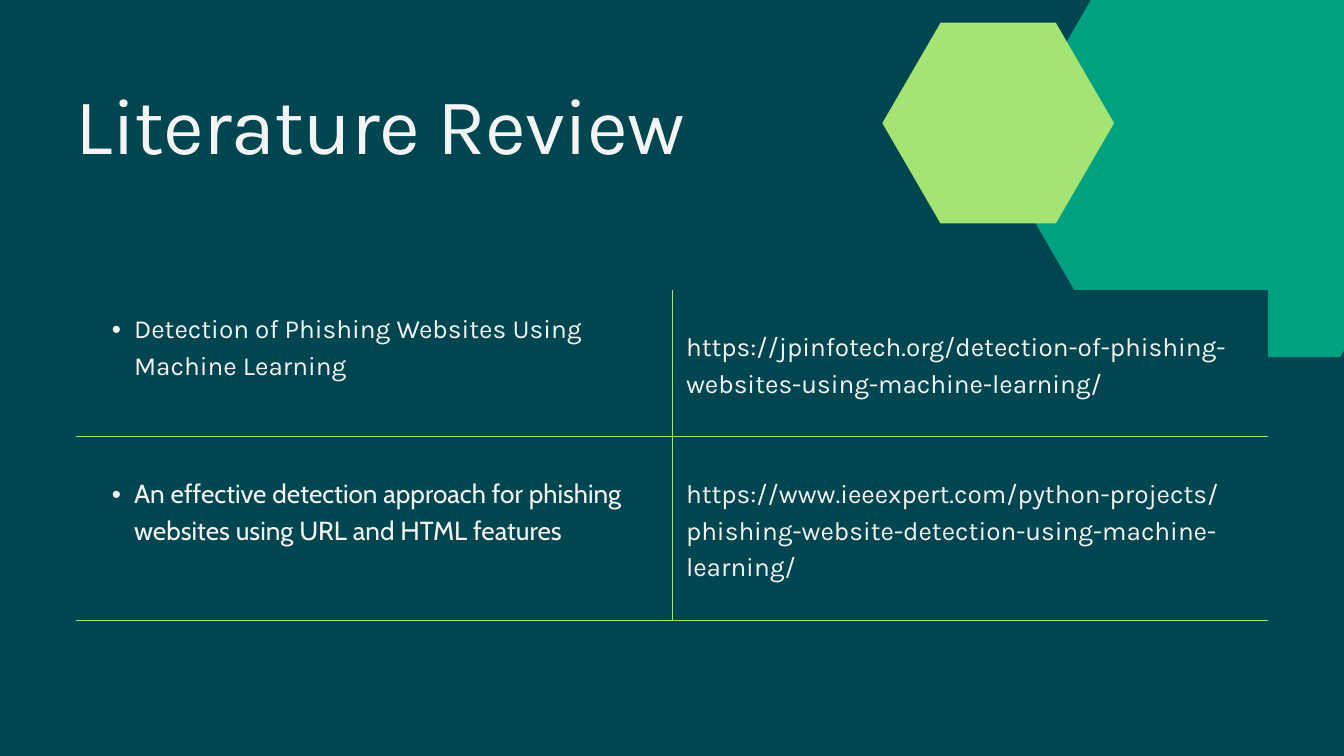
from lxml import etree
from pptx import Presentation
from pptx.dml.color import RGBColor
from pptx.enum.shapes import MSO_SHAPE
from pptx.enum.text import MSO_ANCHOR, MSO_AUTO_SIZE, PP_ALIGN
from pptx.oxml.ns import qn
from pptx.util import Cm, Pt

HEXAGON = MSO_SHAPE.HEXAGON
TOP = MSO_ANCHOR.TOP
MIDDLE = MSO_ANCHOR.MIDDLE
LEFT = PP_ALIGN.LEFT
GROW = MSO_AUTO_SIZE.SHAPE_TO_FIT_TEXT

TITLE_ONLY = 5
DARK = "004651"
GREEN = "00A181"
LIME = "A4E473"
WHITE = "F4F4F4"

LINE_HEIGHT = Pt(39.2)
PADDING = Cm(0.53)
COLUMN_WIDTH = Cm(22.54)
ROW_HEIGHTS = [Cm(5.54), Cm(6.93)]

REVIEWS = [
    (
        ("Detection of Phishing Websites Using Machine Learning", "Karla"),
        ("https://jpinfotech.org/detection-of-phishing-websites-using-machine-learning/", "Karla"),
    ),
    (
        ("An effective detection approach for phishing websites using URL and HTML features", "Cabin"),
        ("https://www.ieeexpert.com/python-projects/phishing-website-detection-using-machine-learning/", "Karla"),
    ),
]


def color(value):
    return RGBColor.from_string(value)


def apply(target, values):
    for name, value in values.items():
        setattr(target, name, value)


def paint(fill, value):
    fill.solid()
    fill.fore_color.rgb = color(value)


def write(paragraph, text, font, size, spacing):
    apply(paragraph, {"alignment": LEFT, "line_spacing": spacing})
    span = paragraph.add_run()
    apply(span, {"text": text})
    apply(span.font, {"name": font, "size": Pt(size), "bold": False})
    span.font.color.rgb = color(WHITE)
    return span


def add_hexagon(page, left, top, width, height, value):
    hexagon = page.shapes.add_shape(HEXAGON, Cm(left), Cm(top), Cm(width), Cm(height))
    hexagon.adjustments[0] = 0.29
    hexagon.shadow.inherit = False
    paint(hexagon.fill, value)
    hexagon.line.fill.background()


def add_title(page, text):
    title = page.shapes.title
    apply(title, {"left": Cm(2.86), "top": Cm(2.86), "width": Cm(25.25), "height": Cm(3.58)})
    frame = title.text_frame
    margins = dict.fromkeys(["margin_left", "margin_top", "margin_right", "margin_bottom"], 0)
    apply(frame, {**margins, "word_wrap": True, "auto_size": GROW, "vertical_anchor": TOP})
    span = write(frame.paragraphs[0], text, "Karla", 85, Pt(102))
    span.font._element.set("spc", "-80")


def add_bullet(paragraph):
    paragraph.level = 1
    properties = paragraph._p.get_or_add_pPr()
    properties.set("marL", str(Cm(1.68)))
    properties.set("indent", str(-Cm(0.84)))
    etree.SubElement(properties, qn("a:buFont")).set("typeface", "Arial")
    etree.SubElement(properties, qn("a:buChar")).set("char", "•")


def set_borders(cell, visible):
    properties = cell._tc.get_or_add_tcPr()
    for side in "LRTB":
        line = etree.SubElement(properties, qn(f"a:ln{side}"))
        if side in visible:
            line.set("w", str(Pt(0.75)))
            solid = etree.SubElement(line, qn("a:solidFill"))
            etree.SubElement(solid, qn("a:srgbClr")).set("val", LIME)
        else:
            line.set("w", "0")
            etree.SubElement(line, qn("a:noFill"))


def fill_cell(cell, text, font, borders, bulleted):
    set_borders(cell, borders)
    paint(cell.fill, DARK)
    apply(cell, {
        "vertical_anchor": MIDDLE,
        "margin_left": PADDING,
        "margin_top": PADDING,
        "margin_right": PADDING,
        "margin_bottom": PADDING + LINE_HEIGHT if bulleted else PADDING,
    })
    paragraph = cell.text_frame.paragraphs[0]
    if bulleted:
        add_bullet(paragraph)
    write(paragraph, text, font, 28, LINE_HEIGHT)


def add_review_table(page):
    frame = page.shapes.add_table(
        len(REVIEWS), 2, Cm(2.86), Cm(10.97), 2 * COLUMN_WIDTH, sum(ROW_HEIGHTS))
    table = frame.table
    apply(table, {"first_row": False, "horz_banding": False})
    for column in table.columns:
        column.width = COLUMN_WIDTH
    for row_index, review in enumerate(REVIEWS):
        table.rows[row_index].height = ROW_HEIGHTS[row_index]
        for column_index, (text, font) in enumerate(review):
            borders = "RL"[column_index] + ("TB" if row_index else "B")
            fill_cell(table.cell(row_index, column_index), text, font, borders, column_index == 0)


def main():
    deck = Presentation()
    apply(deck, {"slide_width": Cm(50.8), "slide_height": Cm(28.58)})
    page = deck.slides.add_slide(deck.slide_layouts[TITLE_ONLY])
    paint(page.background.fill, DARK)
    add_hexagon(page, 37.74, -1.45, 17.25, 14.95, GREEN)
    add_hexagon(page, 33.35, 0.86, 8.76, 7.59, LIME)
    add_review_table(page)
    add_title(page, "Literature Review")
    deck.save("out.pptx")


if __name__ == "__main__":
    main()
